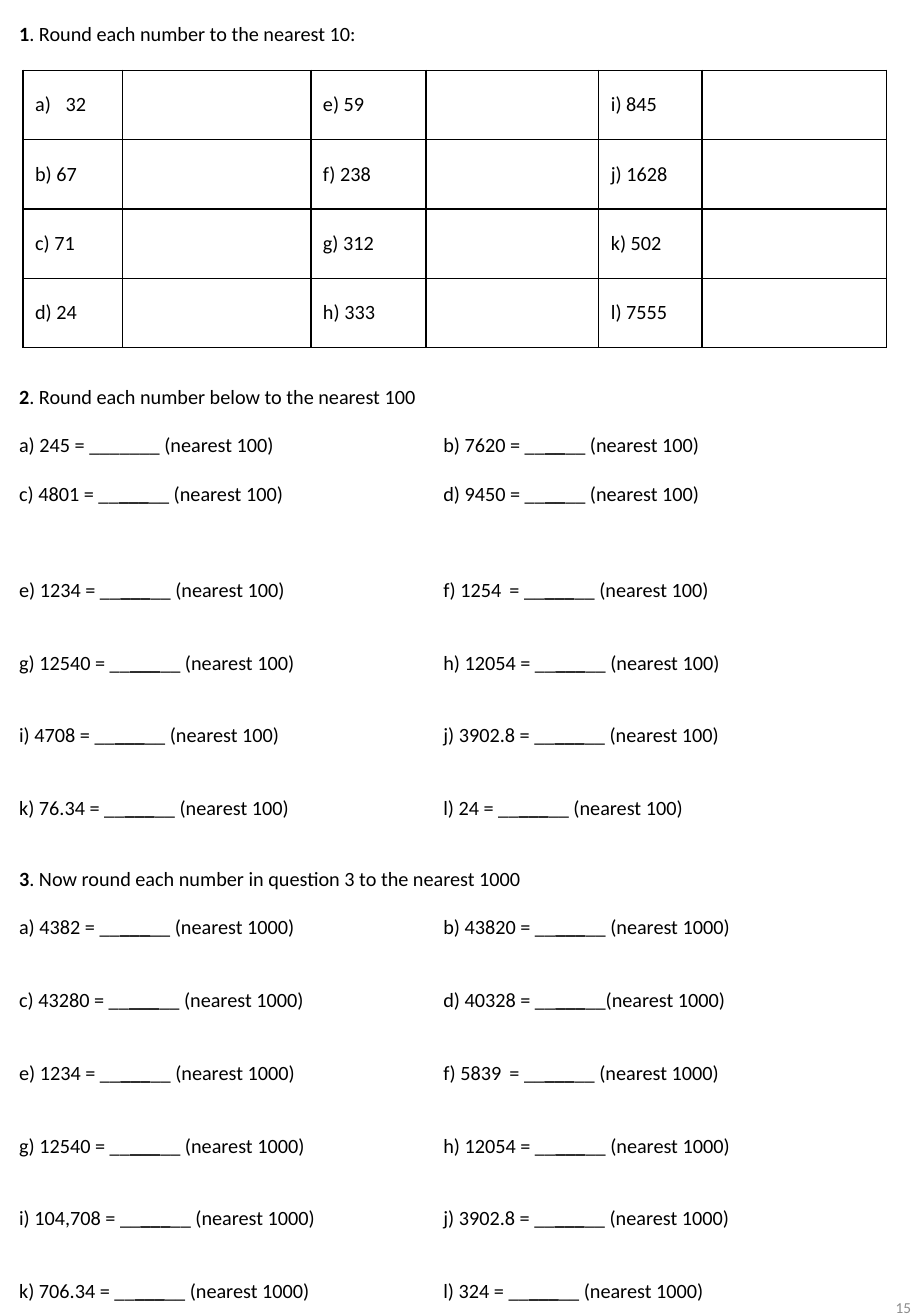
import pptx
import pptx.util
import pptx.dml.color
import pptx.enum.text
import pptx.oxml
import pptx.oxml.ns
from pptx.util import Cm

BLACK = "000000"
GREY = "8C8C8C"
ANCHOR = pptx.enum.text.MSO_ANCHOR
ALIGN = pptx.enum.text.PP_ALIGN
LINE_PT = 14.4
GAP_PT = 28.7
TAB_STOPS = [Cm(8.87), Cm(10.16)]
COLUMN_WIDTHS = [2.08, 3.94, 2.41, 3.61, 2.16, 3.86]
ROW_HEIGHT = 1.45

TENS = [
    ["32", "e) 59", "i) 845"],
    ["b) 67", "f) 238", "j) 1628"],
    ["c) 71", "g) 312", "k) 502"],
    ["d) 24", "h) 333", "l) 7555"],
]
HUNDREDS_TOP = [("a) 245", "b) 7620"), ("c) 4801", "d) 9450")]
HUNDREDS = [
    ("e) 1234", "f) 1254\t"),
    ("g) 12540", "h) 12054"),
    ("i) 4708", "j) 3902.8"),
    ("k) 76.34", "l) 24"),
]
THOUSANDS = [
    ("a) 4382", "b) 43820"),
    ("c) 43280", "d) 40328"),
    ("e) 1234", "f) 5839\t"),
    ("g) 12540", "h) 12054"),
    ("i) 104,708", "j) 3902.8"),
    ("k) 706.34", "l) 324"),
]
BLANK = ("__", "___", "__ ")
SPECIAL_BLANKS = {
    "a) 245": ("_______ ", "", ""),
    "b) 7620": ("__", "__", "__ "),
    "d) 9450": ("__", "__", "__ "),
    "d) 40328": ("__", "___", "__"),
}


def rgb(value):
    return pptx.dml.color.RGBColor.from_string(value)


def assign(obj, values):
    for name, value in values.items():
        setattr(obj, name, value)


def add_xml(parent, tag, body="", **attributes):
    attrs = "".join(f' {k}="{v}"' for k, v in attributes.items())
    ns = pptx.oxml.ns.nsdecls("a")
    parent.append(pptx.oxml.parse_xml(f"<a:{tag} {ns}{attrs}>{body}</a:{tag}>"))


def add_run(p, text, size=12, color=BLACK, bold=False):
    r = p.add_run()
    r.text = text
    assign(r.font, {"size": pptx.util.Pt(size), "name": "Calibri", "bold": bold})
    r.font.color.rgb = rgb(color)


def add_box(s, left, top, width, height, **frame):
    sp = s.shapes.add_textbox(Cm(left), Cm(top), Cm(width), Cm(height))
    assign(sp.text_frame, {"word_wrap": True, **frame})
    return sp.text_frame


def next_paragraph(tf, gap):
    if not tf.paragraphs[0].runs:
        return tf.paragraphs[0]
    p = tf.add_paragraph()
    p.space_before = pptx.util.Pt(gap)
    return p


def add_heading(tf, number, text):
    p = next_paragraph(tf, 0)
    add_run(p, number, bold=True)
    add_run(p, f". {text}")


def add_question(p, label, place):
    before, middle, after = SPECIAL_BLANKS.get(label, BLANK)
    add_run(p, f"{label} = {before}")
    if middle:
        add_run(p, middle, bold=True)
    add_run(p, f"{after}(nearest {place})")


def add_questions(tf, pairs, place, first_gap, gap):
    for i, (left, right) in enumerate(pairs):
        p = next_paragraph(tf, gap if i else first_gap)
        stops = "".join(f'<a:tab pos="{pos}" algn="l"/>' for pos in TAB_STOPS)
        add_xml(p._p.get_or_add_pPr(), "tabLst", stops)
        add_question(p, left, place)
        add_run(p, "\t")
        add_question(p, right, place)


def style_cell(cell):
    tcPr = cell._tc.get_or_add_tcPr()
    fill = f'<a:solidFill><a:srgbClr val="{BLACK}"/></a:solidFill>'
    for side in ("lnL", "lnR", "lnT", "lnB"):
        add_xml(tcPr, side, fill, w=pptx.util.Pt(1))
    cell.fill.background()
    cell.vertical_anchor = ANCHOR.MIDDLE


def add_tens_table(s):
    rows, cols = len(TENS), len(COLUMN_WIDTHS)
    sp = s.shapes.add_table(rows, cols, Cm(0.48), Cm(1.47),
                            Cm(sum(COLUMN_WIDTHS)), Cm(ROW_HEIGHT * rows))
    table = sp.table
    assign(table, {"first_row": False, "horz_banding": False})
    for column, width in zip(table.columns, COLUMN_WIDTHS):
        column.width = Cm(width)
    for row in table.rows:
        row.height = Cm(ROW_HEIGHT)
    for cell in table.iter_cells():
        style_cell(cell)
    for i, labels in enumerate(TENS):
        for j, label in enumerate(labels):
            add_run(table.cell(i, 2 * j).text_frame.paragraphs[0], label)
    pPr = table.cell(0, 0).text_frame.paragraphs[0]._p.get_or_add_pPr()
    pPr.set("marL", str(Cm(0.64)))
    pPr.set("indent", str(-Cm(0.64)))
    add_xml(pPr, "buAutoNum", type="alphaLcParenR")


def main():
    prs = pptx.Presentation()
    assign(prs, {"slide_width": Cm(19.05), "slide_height": Cm(27.51)})
    s = prs.slides.add_slide(prs.slide_layouts[6])

    tf = add_box(s, 15.01, 26.59, 4.29, 1.47, vertical_anchor=ANCHOR.MIDDLE)
    tf.paragraphs[0].alignment = ALIGN.RIGHT
    add_run(tf.paragraphs[0], "15", size=9, color=GREY)

    tf = add_box(s, 0.15, 0.33, 18.8, 0.76)
    add_heading(tf, "1", "Round each number to the nearest 10:")
    add_tens_table(s)

    tf = add_box(s, 0.15, 7.9, 18.08, 3.33)
    add_heading(tf, "2", "Round each number below to the nearest 100")
    add_questions(tf, HUNDREDS_TOP, 100, LINE_PT, LINE_PT)

    tf = add_box(s, 0.15, 11.94, 17.2, 5.38)
    add_questions(tf, HUNDREDS, 100, 0, GAP_PT)

    tf = add_box(s, 0.15, 17.98, 18.8, 10.01)
    add_heading(tf, "3", "Now round each number in question 3 to the nearest 1000")
    add_questions(tf, THOUSANDS, 1000, LINE_PT, GAP_PT)

    prs.save("out.pptx")


if __name__ == "__main__":
    main()
